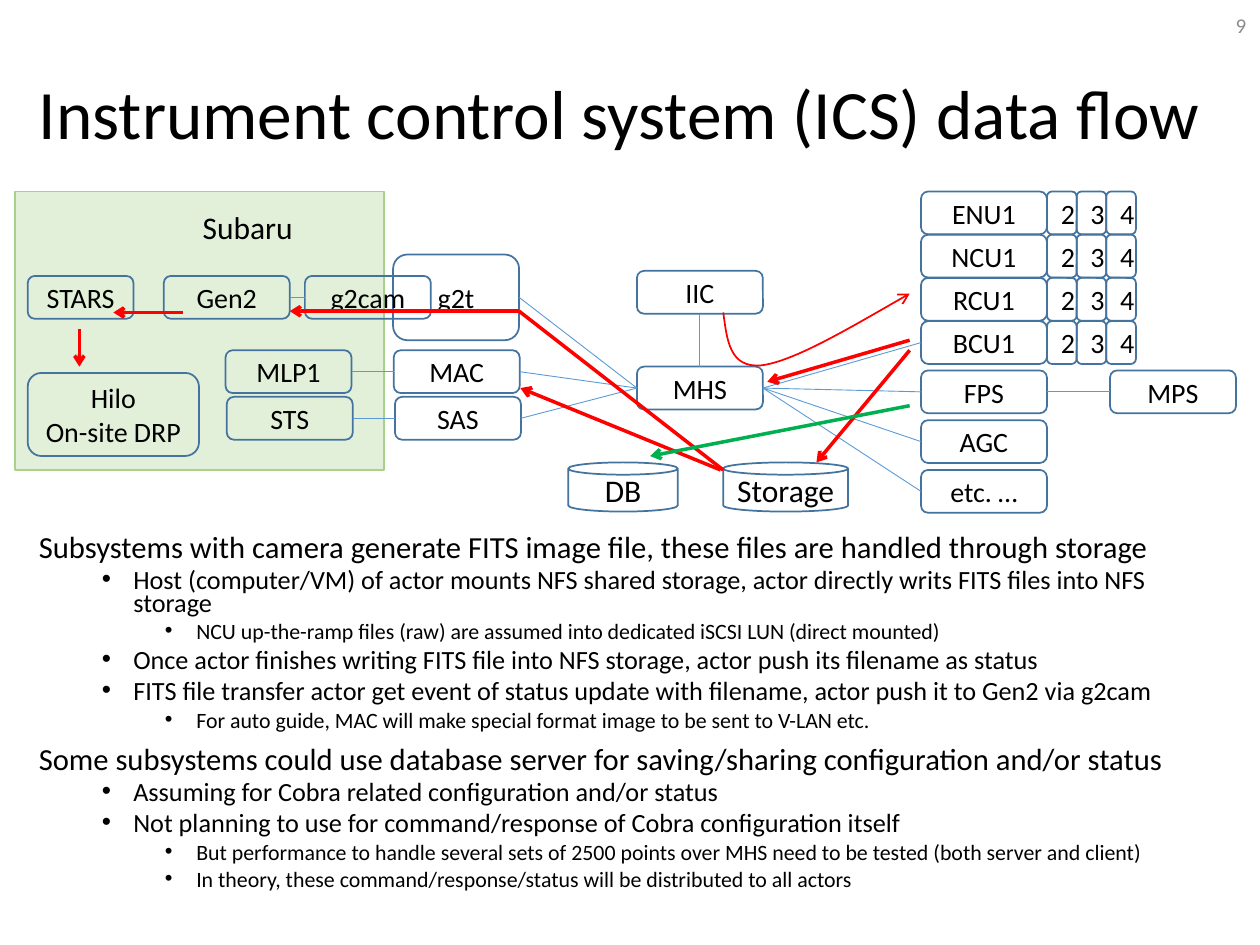
from pptx import Presentation
from pptx.dml.color import RGBColor
from pptx.enum.shapes import MSO_CONNECTOR as Conn, MSO_SHAPE as Kind
from pptx.enum.text import MSO_ANCHOR as Anchor, PP_ALIGN as Align
from pptx.oxml.ns import qn
from pptx.util import Inches, Pt
from lxml.etree import SubElement

BLACK = RGBColor(0, 0, 0)
GREY = RGBColor(0x8C, 0x8C, 0x8C)
NAVY = RGBColor(0x43, 0x73, 0x9E)
BLUE = RGBColor(0x5B, 0x9B, 0xD5)
RED = RGBColor(0xFF, 0, 0)
GREEN = RGBColor(0, 0xB0, 0x50)
PALE = RGBColor(0xE2, 0xF0, 0xD9)
LEAF = RGBColor(0xA9, 0xD1, 0x8E)

COLS, ROWS = 100, 75
WIDE, HIGH = 10, 3.4  # usual box, in grid cells
TOP, LEFT, BOTTOM, RIGHT = range(4)


def write(frame, text, size=16, color=BLACK, align=Align.CENTER,
          anchor=Anchor.MIDDLE, space=None, levels=None, wrap=True):
    """Fill a frame, one paragraph a line; levels maps a depth to (size, space before)."""
    frame.word_wrap = wrap
    frame.vertical_anchor = anchor
    for i, line in enumerate(text.split("\n")):
        para = frame.paragraphs[0] if i == 0 else frame.add_paragraph()
        para.alignment = align
        points = size
        if levels:
            depth = len(line) - len(line.lstrip("\t"))
            points, before = levels[depth]
            if depth:
                bullet(para, depth)
            if i:
                para.space_before = Pt(before)
        if space:
            para.line_spacing = space
        run = para.add_run()
        run.text = line.lstrip("\t")
        run.font.name = "Calibri"
        run.font.size = Pt(points)
        run.font.color.rgb = color


def bullet(para, depth):
    para.level = depth
    props = para._p.get_or_add_pPr()
    props.set("marL", str(Inches(0.25 + 0.5 * depth)))
    props.set("indent", str(Inches(-0.25)))
    SubElement(props, qn("a:buFont"), typeface="Arial")
    SubElement(props, qn("a:buChar"), char="•")


class Board:
    """Draws on one slide; all lengths are cells of a 100 by 75 grid."""

    def __init__(self, deck):
        self.slide = deck.slides.add_slide(deck.slide_layouts[6])
        self.shapes = self.slide.shapes
        self.col = deck.slide_width / COLS
        self.row = deck.slide_height / ROWS
        self.nodes = {}

    def spot(self, x, y):
        return round(x * self.col), round(y * self.row)

    def text(self, words, x, y, w, h, **form):
        area = self.shapes.add_textbox(*self.spot(x, y), *self.spot(w, h))
        write(area.text_frame, words, **form)

    def box(self, words, x, y, w=WIDE, h=HIGH, kind=Kind.ROUNDED_RECTANGLE,
            fill=None, line=NAVY, size=16):
        shape = self.shapes.add_shape(kind, *self.spot(x, y), *self.spot(w, h))
        shape.shadow.inherit = False
        if fill:
            shape.fill.solid()
            shape.fill.fore_color.rgb = fill
        else:
            shape.fill.background()
        shape.line.color.rgb = line
        shape.line.width = Pt(1)
        if words:
            write(shape.text_frame, words, size=size)
            self.nodes[words] = shape

    def line(self, start, end, color=RED, width=2, head=True):
        wire = self.shapes.add_connector(
            Conn.STRAIGHT, *self.spot(*start), *self.spot(*end))
        wire.line.color.rgb = color
        wire.line.width = Pt(width)
        if head:
            SubElement(wire.line._get_or_add_ln(), qn("a:tailEnd"), type="arrow")
        SubElement(wire._element.spPr, qn("a:effectLst"))
        return wire

    def link(self, first, side, second, other):
        wire = self.line((0, 0), (1, 1), BLUE, 0.5, head=False)
        wire.begin_connect(self.nodes[first], side)
        wire.end_connect(self.nodes[second], other)

    def curve(self, start, *points):
        """Draw Bézier segments, three points each, with an arrowhead at the start."""
        pen = self.shapes.build_freeform(*self.spot(*start))
        pen.add_line_segments([self.spot(*p) for p in points], close=False)
        shape = pen.convert_to_shape()
        shape.shadow.inherit = False
        shape.fill.background()
        shape.line.color.rgb = RED
        shape.line.width = Pt(1)
        SubElement(shape.line._get_or_add_ln(), qn("a:headEnd"), type="arrow")
        track = next(shape._element.iter(qn("a:path")))
        steps = track.findall(qn("a:lnTo"))
        for i in range(0, len(steps), 3):
            bend = SubElement(track, qn("a:cubicBezTo"))
            for step in steps[i:i + 3]:
                bend.append(step[0])
                track.remove(step)


# Leading tabs give the depth of a line
BODY = [
    "Subsystems with camera generate FITS image file, these files are handled through storage",
    "\tHost (computer/VM) of actor mounts NFS shared storage, actor directly writs FITS files into NFS storage",
    "\t\tNCU up-the-ramp files (raw) are assumed into dedicated iSCSI LUN (direct mounted)",
    "\tOnce actor finishes writing FITS file into NFS storage, actor push its filename as status",
    "\tFITS file transfer actor get event of status update with filename, actor push it to Gen2 via g2cam",
    "\t\tFor auto guide, MAC will make special format image to be sent to V-LAN etc.",
    "Some subsystems could use database server for saving/sharing configuration and/or status",
    "\tAssuming for Cobra related configuration and/or status",
    "\tNot planning to use for command/response of Cobra configuration itself",
    "\t\tBut performance to handle several sets of 2500 points over MHS need to be tested (both server and client)",
    "\t\tIn theory, these command/response/status will be distributed to all actors",
]

LEVELS = [(17.5, 10), (15, 5), (12.5, 5)]

NODES = [
    ("Gen2", 13, 21.9), ("MHS", 50.55, 29.1), ("g2t", 31.2, 20.2, WIDE, 6.8),
    ("g2cam", 24.2, 21.9), ("IIC", 50.55, 21.5), ("MPS", 88.1, 29.4),
    ("MAC", 31.25, 27.8), ("MLP1", 17.9, 27.8),
    ("SAS", 31.35, 31.5), ("STS", 18, 31.5),
    ("STARS", 2.2, 21.9, 8.4), ("Hilo\nOn-site DRP", 2.2, 29.6, 13.6, 6.6),
]

LINKS = [
    ("Gen2", RIGHT, "g2cam", LEFT), ("IIC", BOTTOM, "MHS", TOP),
    ("FPS", RIGHT, "MPS", LEFT), ("MLP1", RIGHT, "MAC", LEFT),
    ("STS", RIGHT, "SAS", LEFT),
]

FLOWS = [
    ((72.2, 27.8), (64.8, 36.7)), ((72.2, 27), (60.9, 30.3)),
    ((57.2, 37.3), (41.3, 30.8)), ((41.2, 24.7), (23, 24.7)),
    ((14.5, 24.8), (9, 24.8)), ((6.3, 26.1), (6.3, 29.1)),
]


def main():
    deck = Presentation()
    deck.slide_width, deck.slide_height = Inches(10), Inches(7.5)
    board = Board(deck)

    board.text("Instrument control system (ICS) data flow", 2.1, 3, 96, 12.5,
               size=39.6, align=Align.LEFT, space=0.9)
    board.text("\n".join(BODY), 2.1, 42.2, 96, 30.7, align=Align.LEFT,
               anchor=Anchor.TOP, space=0.7, levels=LEVELS)

    board.box("", 1.2, 15.2, 29.3, 22.1, Kind.RECTANGLE, PALE, LEAF)
    board.text("Subaru", 15.1, 16, 9.4, 4, size=18, align=Align.LEFT,
               anchor=Anchor.TOP, wrap=False)
    for node in NODES:
        board.box(*node)
    for i, name in enumerate(["ENU1", "NCU1", "RCU1", "BCU1"]):
        y = 15.2 + 3.43 * i
        board.box(name, 73.1, y)
        for j in range(3):
            board.box(str(j + 2), 83.1 + 2.35 * j, y, 2.35)
    for i, name in enumerate(["FPS", "AGC", "etc. …"]):
        board.box(name, 73.1, 29.4 + 3.95 * i)
    board.box("DB", 45.1, 36.7, 8.7, 3.9, Kind.CAN, size=18)
    board.box("Storage", 57.4, 36.7, 9.9, 3.9, Kind.CAN, size=18)

    for ends in LINKS:
        board.link(*ends)
    for name in ["g2t", "MAC", "SAS"]:
        board.link(name, RIGHT, "MHS", LEFT)
    for name in ["BCU1", "FPS", "AGC", "etc. …"]:
        board.link("MHS", RIGHT, name, LEFT)

    for start, end in FLOWS:
        board.line(start, end)
    board.line((41.2, 24.7), (57.4, 37.3), head=False)
    board.line((72.2, 32.2), (51.6, 36.2), GREEN)
    board.curve((72.2, 23.3), (67.5, 26), (62.9, 28.7), (60.4, 29),
                (57.9, 29.2), (57.7, 27), (57.4, 24.8))

    board.text("9", 77.4, 0, 22.5, 4, size=12, color=GREY, align=Align.RIGHT)
    deck.save("out.pptx")


if __name__ == "__main__":
    main()
